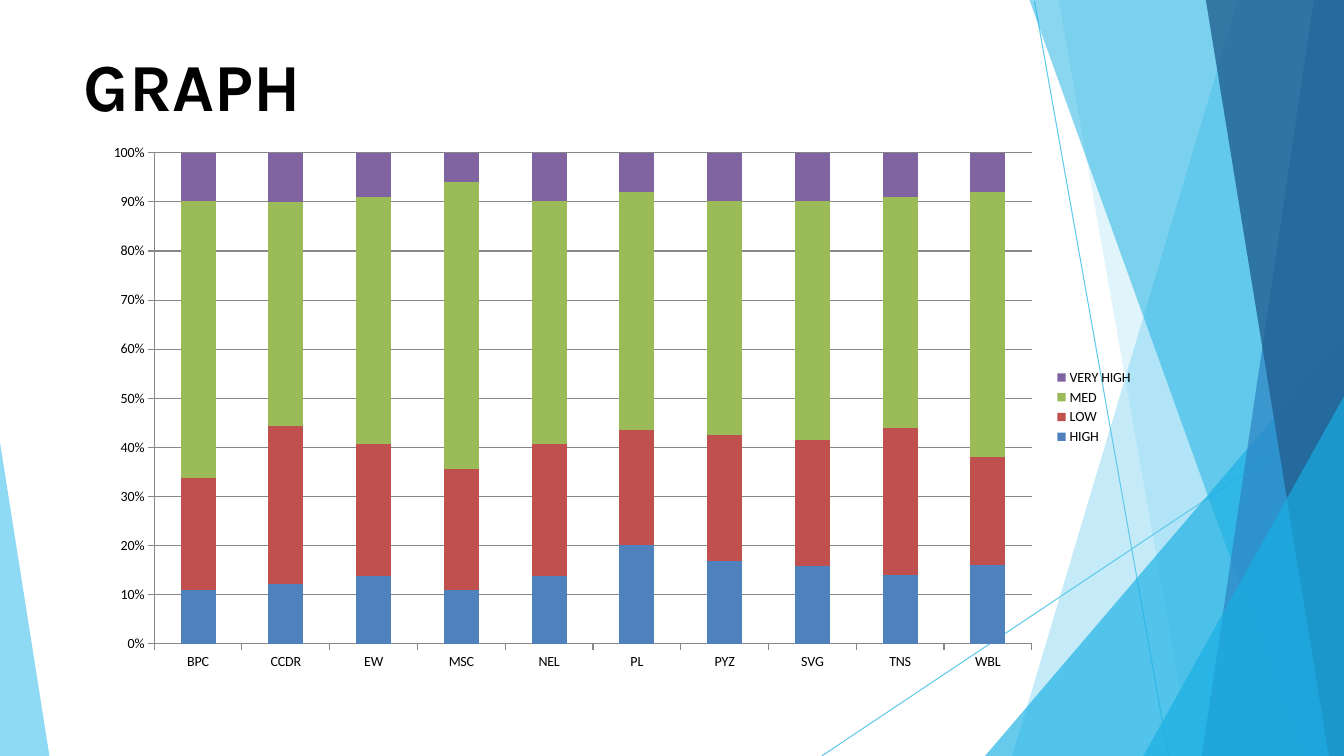
from lxml.etree import SubElement
from pptx import Presentation
from pptx.chart.data import CategoryChartData
from pptx.dml.color import RGBColor
from pptx.enum.chart import XL_CHART_TYPE, XL_LEGEND_POSITION, XL_TICK_MARK
from pptx.enum.shapes import MSO_CONNECTOR
from pptx.enum.text import MSO_ANCHOR, PP_ALIGN
from pptx.oxml.ns import qn
from pptx.util import Inches, Pt

SKY = RGBColor(0x5F, 0xCA, 0xEE)
CYAN = RGBColor(0x17, 0xAF, 0xE3)
BLUE = RGBColor(0x2D, 0x83, 0xC3)
NAVY = RGBColor(0x22, 0x61, 0x92)
BLACK = RGBColor(0, 0, 0)
GREY = RGBColor(0x87, 0x87, 0x87)

WIDTH, HEIGHT = 13.33, 7.5

RAYS = [
    ((10.26, 0.01), (11.59, HEIGHT)),
    ((WIDTH, 4.04), (8.15, HEIGHT)),
]


def right_band(top, bottom):
    return [(WIDTH, 0), (top, 0), (bottom, HEIGHT), (WIDTH, HEIGHT)]


def right_corner(top, left):
    return [(WIDTH, top), (left, HEIGHT), (WIDTH, HEIGHT)]


FACETS = [
    (right_band(12.28, 10.04), SKY, 36),
    (right_band(10.5, 11.82), SKY, 20),
    (right_corner(3.33, 9.77), CYAN, 66),
    (right_band(10.21, 12.91), CYAN, 50),
    (right_band(13.03, 11.92), BLUE, 70),
    (right_band(11.96, 13.18), NAVY, 80),
    (right_corner(3.93, 11.34), CYAN, 66),
    ([(0, 4.39), (0, HEIGHT), (0.49, HEIGHT)], SKY, 70),
]

CATEGORIES = ["BPC", "CCDR", "EW", "MSC", "NEL", "PL", "PYZ", "SVG", "TNS", "WBL"]
LEVELS = [
    ("HIGH", [11, 12, 14, 11, 14, 20, 17, 16, 14, 16], RGBColor(0x4F, 0x81, 0xBD)),
    ("LOW", [23, 32, 27, 25, 27, 23, 26, 26, 30, 22], RGBColor(0xC0, 0x50, 0x4D)),
    ("MED", [57, 45, 51, 59, 50, 48, 48, 49, 47, 54], RGBColor(0x9B, 0xBB, 0x59)),
    ("VERY HIGH", [10, 10, 9, 6, 10, 8, 10, 10, 9, 8], RGBColor(0x80, 0x64, 0xA2)),
]


def add_ray(slide, start, end):
    ends = [Inches(value) for value in start + end]
    ray = slide.shapes.add_connector(MSO_CONNECTOR.STRAIGHT, *ends)
    ray.line.color.rgb = SKY
    ray.line.width = Pt(0.75)
    SubElement(ray.line._get_or_add_ln().getparent(), qn("a:effectLst"))


def add_facet(slide, corners, color, opacity):
    points = [(Inches(x), Inches(y)) for x, y in corners]
    outline = slide.shapes.build_freeform(*points[0])
    outline.add_line_segments(points[1:], close=True)
    facet = outline.convert_to_shape()
    facet.shadow.inherit = False
    facet.line.fill.background()
    facet.fill.solid()
    facet.fill.fore_color.rgb = color
    tint = facet.fill._xPr.find(qn("a:solidFill"))[0]
    SubElement(tint, qn("a:alpha"), val=str(opacity * 1000))


def set_title(slide, wording):
    title = slide.shapes.title
    title.left, title.top = Inches(0.83), Inches(0.42)
    title.width, title.height = Inches(11.68), Inches(0.83)
    frame = title.text_frame
    frame.text = wording
    frame.margin_left = frame.margin_right = 0
    frame.margin_top = frame.margin_bottom = 0
    frame.vertical_anchor = MSO_ANCHOR.MIDDLE
    heading = frame.paragraphs[0]
    heading.alignment = PP_ALIGN.LEFT
    font = heading.runs[0].font
    font.name, font.size, font.bold = "Karla", Pt(48), True
    font.color.rgb = BLACK


def style_axis(axis):
    axis.major_tick_mark = XL_TICK_MARK.OUTSIDE
    axis.minor_tick_mark = XL_TICK_MARK.NONE
    axis.format.line.color.rgb = GREY
    axis.format.line.width = Pt(0.75)


def add_level_chart(slide):
    levels = CategoryChartData()
    levels.categories = CATEGORIES
    for name, values, _ in LEVELS:
        levels.add_series(name, values)
    chart = slide.shapes.add_chart(
        XL_CHART_TYPE.COLUMN_STACKED_100,
        Inches(0.92), Inches(1.33), Inches(10.42), Inches(5.42), levels,
    ).chart
    chart.has_title = False
    chart.font.name, chart.font.size = "Calibri", Pt(10)
    chart.font.color.rgb = BLACK

    columns = chart.plots[0]
    columns.gap_width = 150
    columns.overlap = 100
    columns.vary_by_categories = False
    for series, (_, _, color) in zip(columns.series, LEVELS):
        series.format.fill.solid()
        series.format.fill.fore_color.rgb = color

    style_axis(chart.category_axis)
    style_axis(chart.value_axis)
    chart.value_axis.maximum_scale = 1
    chart.value_axis.major_unit = 0.1
    chart.value_axis.tick_labels.number_format = "0%"
    chart.value_axis.tick_labels.number_format_is_linked = False
    gridlines = chart.value_axis.major_gridlines.format.line
    gridlines.color.rgb = GREY
    gridlines.width = Pt(0.75)

    chart.has_legend = True
    chart.legend.position = XL_LEGEND_POSITION.RIGHT
    chart.legend.include_in_layout = False


def main():
    deck = Presentation()
    deck.slide_width, deck.slide_height = Inches(WIDTH), Inches(HEIGHT)
    slide = deck.slides.add_slide(deck.slide_layouts[5])
    for start, end in RAYS:
        add_ray(slide, start, end)
    for corners, color, opacity in FACETS:
        add_facet(slide, corners, color, opacity)
    set_title(slide, "GRAPH")
    add_level_chart(slide)
    deck.save("out.pptx")


if __name__ == "__main__":
    main()
